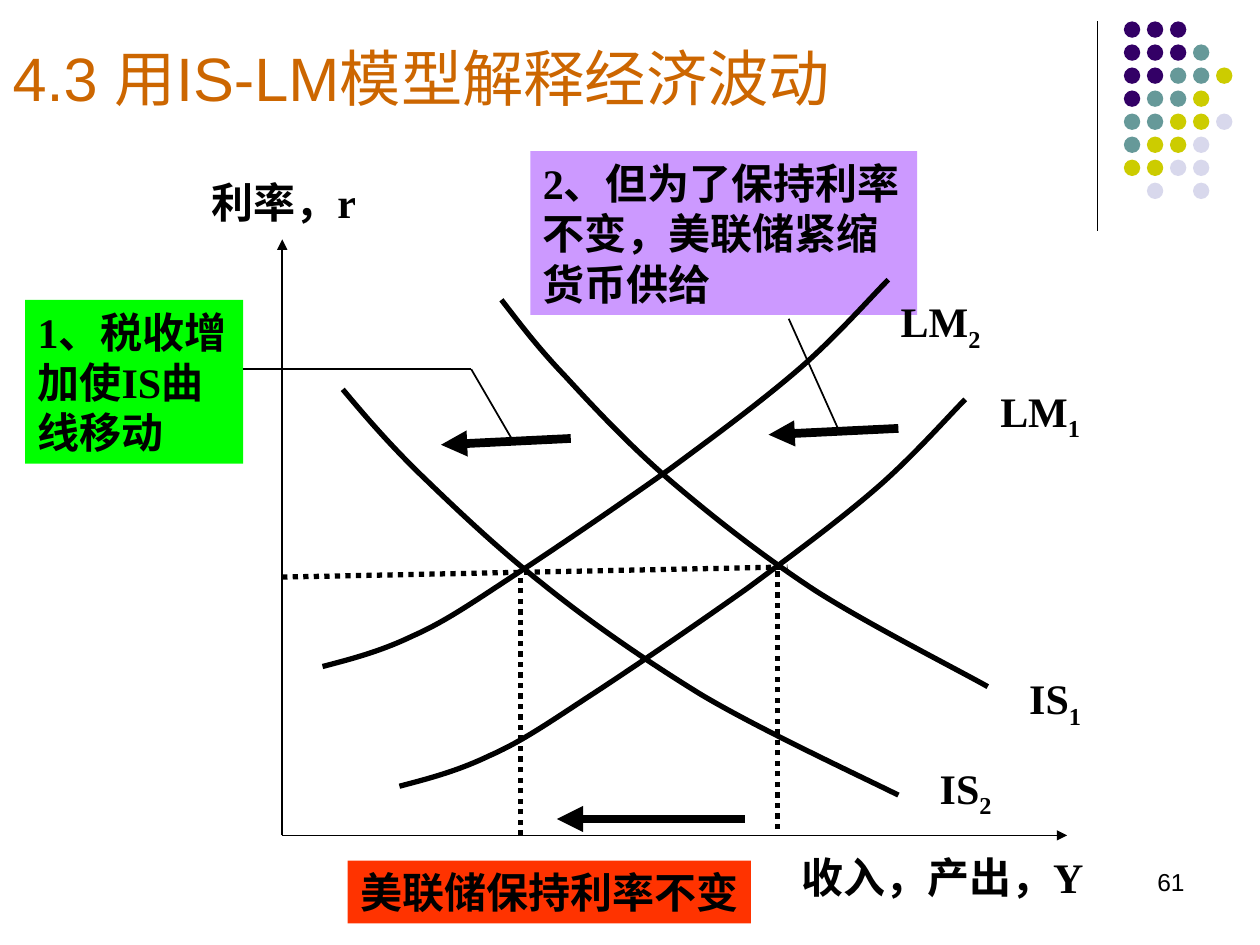
"""Build the IS-LM slide on a tax rise met by a constant interest rate."""
from lxml import etree
from pptx import Presentation, util as u
from pptx.dml.color import RGBColor
from pptx.enum import dml, shapes, text
from pptx.oxml import ns

COLORS = {
    "ink": "000000", "title": "CC6600", "money": "CC99FF", "tax": "00FF00",
    "result": "FF3300", "P": "330066", "T": "669999", "Y": "CCCC00", "L": "D8D8EC",
}
LATIN, SANS, CJK = "Times New Roman", "Arial", "Noto Sans CJK SC"
DOT_ROWS = ["PPP", "PPPT", "PPTTY", "PTTY", "TTYYL", "TYYL", "YYLL", " L L"]
DOT_SIZE, DOT_PITCH = 0.13, 1.28 / 7

IS1 = [(3.98, 2.38), (4.12, 2.56), (4.26, 2.75), (4.49, 2.99), (4.72, 3.24),
       (5.02, 3.56), (5.35, 3.84), (5.68, 4.12), (6.05, 4.41), (6.46, 4.68),
       (6.88, 4.95), (7.61, 5.32), (7.84, 5.45)]
IS2 = [(2.72, 3.09), (2.88, 3.28), (3.04, 3.47), (3.3, 3.73), (3.57, 3.99),
       (3.91, 4.32), (4.29, 4.62), (4.66, 4.92), (5.09, 5.22), (5.56, 5.51),
       (6.03, 5.79), (6.87, 6.18), (7.13, 6.31)]
LM2 = [(2.56, 5.29), (2.79, 5.23), (3.02, 5.17), (3.27, 5.05), (3.52, 4.94),
       (3.71, 4.81), (4.06, 4.58), (4.4, 4.36), (4.94, 3.99), (5.32, 3.72),
       (5.7, 3.44), (6.05, 3.18), (6.34, 2.93), (6.63, 2.68), (6.93, 2.34),
       (7.05, 2.22)]
LM1 = [(x + 0.61, y + 0.95) for x, y in LM2]


def color(key):
    """Return the palette colour for a key."""
    return RGBColor.from_string(COLORS[key])


class DiagramSlide:
    """Holds the style and the current slide."""

    def __init__(self, deck):
        """Add a title-only slide."""
        self.slide = deck.slides.add_slide(deck.slide_layouts[5])
        self.shapes = self.slide.shapes

    def format_run(self, run, size=24, font=LATIN, ink="ink", bold=True):
        """Set the font of a run, with a separate East Asian face."""
        run.font.size, run.font.bold, run.font.name = u.Pt(size), bold, font
        run.font.color.rgb = color(ink)
        etree.SubElement(run.font._element, ns.qn("a:ea"), typeface=CJK)

    def title(self, wording, left, top, width, height):
        """Place and format the title placeholder."""
        heading = self.shapes.title
        heading.left, heading.top = u.Inches(left), u.Inches(top)
        heading.width, heading.height = u.Inches(width), u.Inches(height)
        heading.text_frame.text = wording
        heading.text_frame.vertical_anchor = text.MSO_ANCHOR.MIDDLE
        paragraph = heading.text_frame.paragraphs[0]
        paragraph.alignment = text.PP_ALIGN.LEFT
        self.format_run(paragraph.runs[0], 35, SANS, "title", False)

    def label(self, wording, left, top, width, height, subscript="", fill=None,
              wrap=True, align=text.PP_ALIGN.LEFT, **style):
        """Add a text box, optionally filled or ending in a subscript."""
        box = self.shapes.add_textbox(*map(u.Inches, (left, top, width, height)))
        if fill:
            box.fill.solid()
            box.fill.fore_color.rgb = color(fill)
        box.text_frame.word_wrap = wrap
        box.text_frame.text = wording
        paragraph = box.text_frame.paragraphs[0]
        paragraph.alignment = align
        if subscript:
            paragraph.add_run().text = subscript
        for run in paragraph.runs:
            self.format_run(run, **style)
        if subscript:
            paragraph.runs[-1].font._element.set("baseline", "-25000")

    def line(self, start, end, width=1, arrow=False, dotted=False):
        """Add a straight line."""
        connector = self.shapes.add_connector(
            shapes.MSO_CONNECTOR.STRAIGHT, *map(u.Inches, (*start, *end)))
        connector.line.width = u.Pt(width)
        connector.line.color.rgb = color("ink")
        if dotted:
            connector.line.dash_style = dml.MSO_LINE.ROUND_DOT
        if arrow:
            etree.SubElement(connector.line._get_or_add_ln(), ns.qn("a:tailEnd"),
                             type="triangle")
        etree.SubElement(connector._element.spPr, ns.qn("a:effectLst"))

    def curve(self, controls):
        """Add an open outline of cubic curves through chained control points."""
        points = [(u.Inches(x), u.Inches(y)) for x, y in controls]
        builder = self.shapes.build_freeform(*points[0])
        builder.add_line_segments(points[1:], close=False)
        outline = builder.convert_to_shape()
        segments = list(outline._element.iter(ns.qn("a:lnTo")))
        for start in range(0, len(segments), 3):
            cubic = etree.SubElement(segments[start].getparent(), ns.qn("a:cubicBezTo"))
            for segment in segments[start:start + 3]:
                cubic.append(segment[0])
                segment.getparent().remove(segment)
        outline.shadow.inherit = False
        outline.fill.background()
        outline.line.width = u.Pt(3)
        outline.line.color.rgb = color("ink")

    def dots(self, left, top):
        """Add the coloured dot ornament as one group."""
        ornament = self.shapes.add_group_shape()
        for row, keys in enumerate(DOT_ROWS):
            for column, key in enumerate(keys):
                if key == " ":
                    continue
                dot = ornament.shapes.add_shape(
                    shapes.MSO_SHAPE.OVAL, u.Inches(left + column * DOT_PITCH),
                    u.Inches(top + row * DOT_PITCH), u.Inches(DOT_SIZE), u.Inches(DOT_SIZE))
                dot.shadow.inherit = False
                dot.fill.solid()
                dot.fill.fore_color.rgb = color(key)
                dot.line.fill.background()


def main():
    """Build and save the slide."""
    deck = Presentation()
    deck.slide_width, deck.slide_height = u.Inches(10), u.Inches(7.5)
    page = DiagramSlide(deck)
    page.title("4.3 用IS-LM模型解释经济波动", 0, 0.17, 9, 0.88)
    page.line((8.71, 0.17), (8.71, 1.83), 0.75)
    page.dots(8.92, 0.17)

    origin = (2.24, 6.63)
    page.line(origin, (2.24, 1.9), arrow=True)
    page.line(origin, (8.47, 6.63), arrow=True)
    page.label("利率，r", 1.58, 1.35, 1.66, 0.5)
    page.label("收入，产出，Y", 6.26, 6.71, 2.99, 0.5)

    page.label("2、但为了保持利率不变，美联储紧缩货币供给", 4.21, 1.2, 3.07, 1.3, fill="money")
    page.label("1、税收增加使IS曲线移动", 0.2, 2.38, 1.73, 1.3, fill="tax")
    page.label("美联储保持利率不变", 2.76, 6.83, 3.2, 0.5, fill="result", wrap=False, font=CJK)

    for start, end in [((6.65, 3.4), (6.26, 2.53)), ((3.74, 2.93), (4.06, 3.48)),
                       ((1.93, 2.93), (3.74, 2.93))]:
        page.line(start, end)
    for start, end in [((2.24, 4.58), (6.25, 4.5)), ((6.17, 6.58), (6.17, 4.5)),
                       ((4.13, 6.63), (4.13, 4.58))]:
        page.line(start, end, 3, dotted=True)
    for start, end in [((4.53, 3.48), (3.5, 3.53)), ((5.91, 6.5), (4.42, 6.5)),
                       ((7.13, 3.4), (6.1, 3.45))]:
        page.line(start, end, 5, arrow=True)

    for controls in (IS2, IS1, LM2, LM1):
        page.curve(controls)
    for name, number, left, top, width in [
            ("IS", "1", 8.07, 5.29, 0.87), ("IS", "2", 7.36, 6, 0.83),
            ("LM", "2", 7.05, 2.3, 1.02), ("LM", "1", 7.84, 3.01, 1.02)]:
        page.label(name, left, top, width, 0.56, subscript=number)
    page.label("61", 7.17, 6.83, 2.33, 0.52, align=text.PP_ALIGN.RIGHT,
               size=14, font=SANS, bold=False)
    deck.save("out.pptx")


if __name__ == "__main__":
    main()
